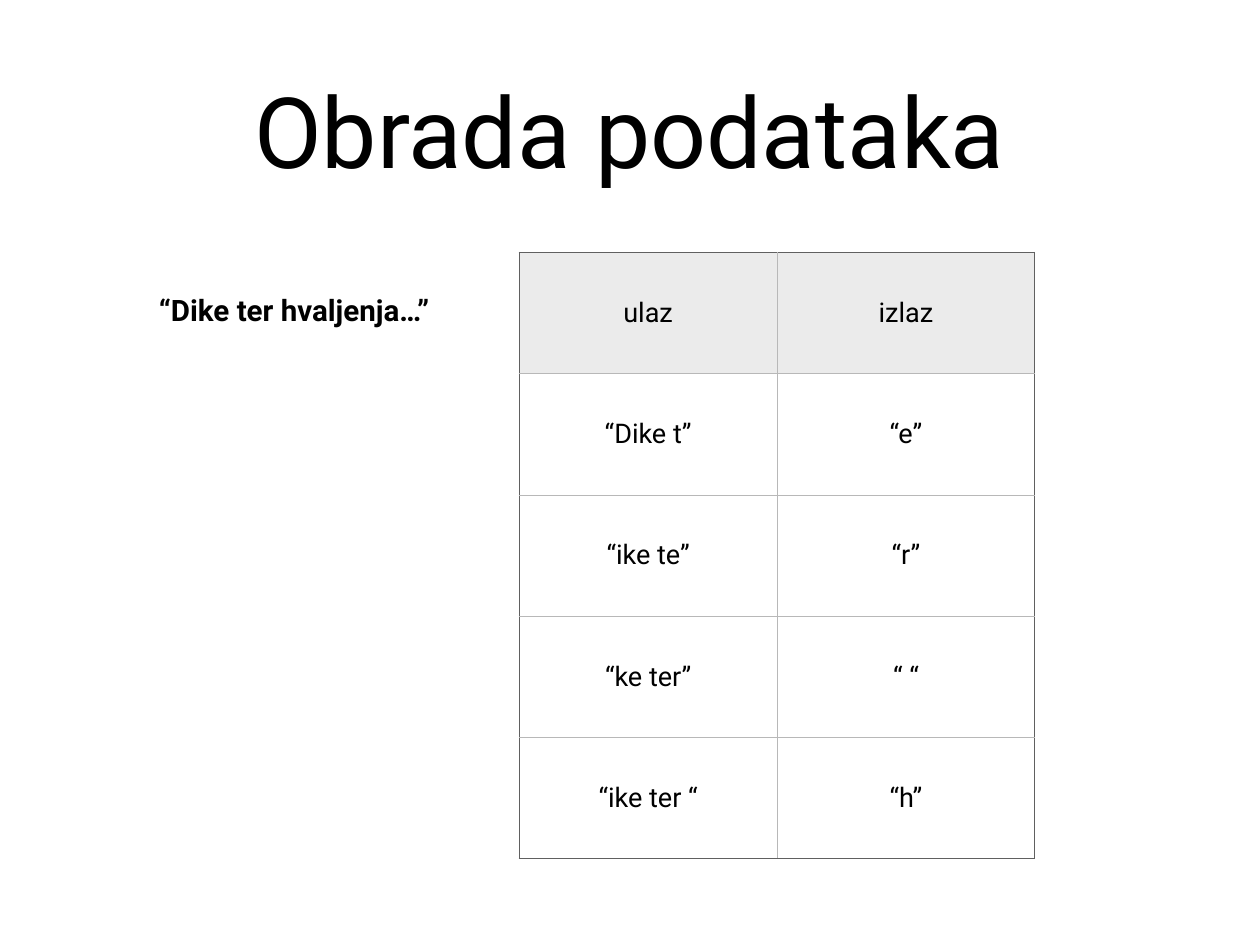
from lxml import etree
from pptx import Presentation
from pptx.dml.color import RGBColor
from pptx.enum.text import MSO_ANCHOR, MSO_AUTO_SIZE, PP_ALIGN
from pptx.oxml.ns import qn
from pptx.util import Inches, Pt

CENTER = PP_ALIGN.CENTER
MIDDLE = MSO_ANCHOR.MIDDLE
GROW = MSO_AUTO_SIZE.SHAPE_TO_FIT_TEXT

COLORS = {"text": "000000", "header": "EBEBEB", "body": "FFFFFF",
          "outer": "606060", "inner": "B8B8B8"}
MARGINS = {f"margin_{side}": Inches(0.06)
           for side in ("left", "top", "right", "bottom")}


def write(frame, text, size, bold=False):
    para = frame.paragraphs[0]
    para.alignment = CENTER
    span = para.add_run()
    span.text = text
    span.font.color.rgb = RGBColor.from_string(COLORS["text"])
    for name, value in {"name": "Roboto", "size": Pt(size), "bold": bold}.items():
        setattr(span.font, name, value)


def add_border(cell, tag, color):
    line = etree.SubElement(cell._tc.get_or_add_tcPr(), qn(f"a:{tag}"), w=str(Pt(1)))
    fill = etree.SubElement(line, qn("a:solidFill"))
    etree.SubElement(fill, qn("a:srgbClr"), val=COLORS[color])


deck = Presentation()
deck.slide_width, deck.slide_height = Inches(14.22), Inches(10.67)
page = deck.slides.add_slide(deck.slide_layouts[6])

# Title and sample sentence
texts = [
    ("Obrada podataka", (1.04, 0.28, 12.14, 2.36), 80, False, {"word_wrap": True}),
    ("“Dike ter hvaljenja…”", (1.56, 3.25, 3.52, 0.5), 24, True,
     {"word_wrap": False, "auto_size": GROW}),
]
for text, place, size, bold, wrapping in texts:
    box = page.shapes.add_textbox(*map(Inches, place))
    for name, value in {**MARGINS, **wrapping, "vertical_anchor": MIDDLE}.items():
        setattr(box.text_frame, name, value)
    write(box.text_frame, text, size, bold)

# Table of input windows and the character that follows each
rows = [
    ("ulaz", "izlaz"),
    ("“Dike t”", "“e”"),
    ("“ike te”", "“r”"),
    ("“ke ter”", "“ “"),
    ("“ike ter “", "“h”"),
]
last_row, last_column = len(rows) - 1, len(rows[0]) - 1
table = page.shapes.add_table(len(rows), len(rows[0]), Inches(5.86), Inches(2.85),
                              Inches(5.82), Inches(6.86)).table
for column in table.columns:
    column.width = Inches(2.91)
for row in table.rows:
    row.height = Inches(1.37)

for r, values in enumerate(rows):
    for c, text in enumerate(values):
        cell = table.cell(r, c)
        for name, value in {**MARGINS, "vertical_anchor": MIDDLE}.items():
            setattr(cell, name, value)
        write(cell.text_frame, text, 22)
        edges = {"lnL": c == 0, "lnR": c == last_column,
                 "lnT": r == 0, "lnB": r == last_row}
        for tag, is_outer in edges.items():
            add_border(cell, tag, "outer" if is_outer else "inner")
        cell.fill.solid()
        cell.fill.fore_color.rgb = RGBColor.from_string(
            COLORS["header" if r == 0 else "body"])

deck.save("out.pptx")
